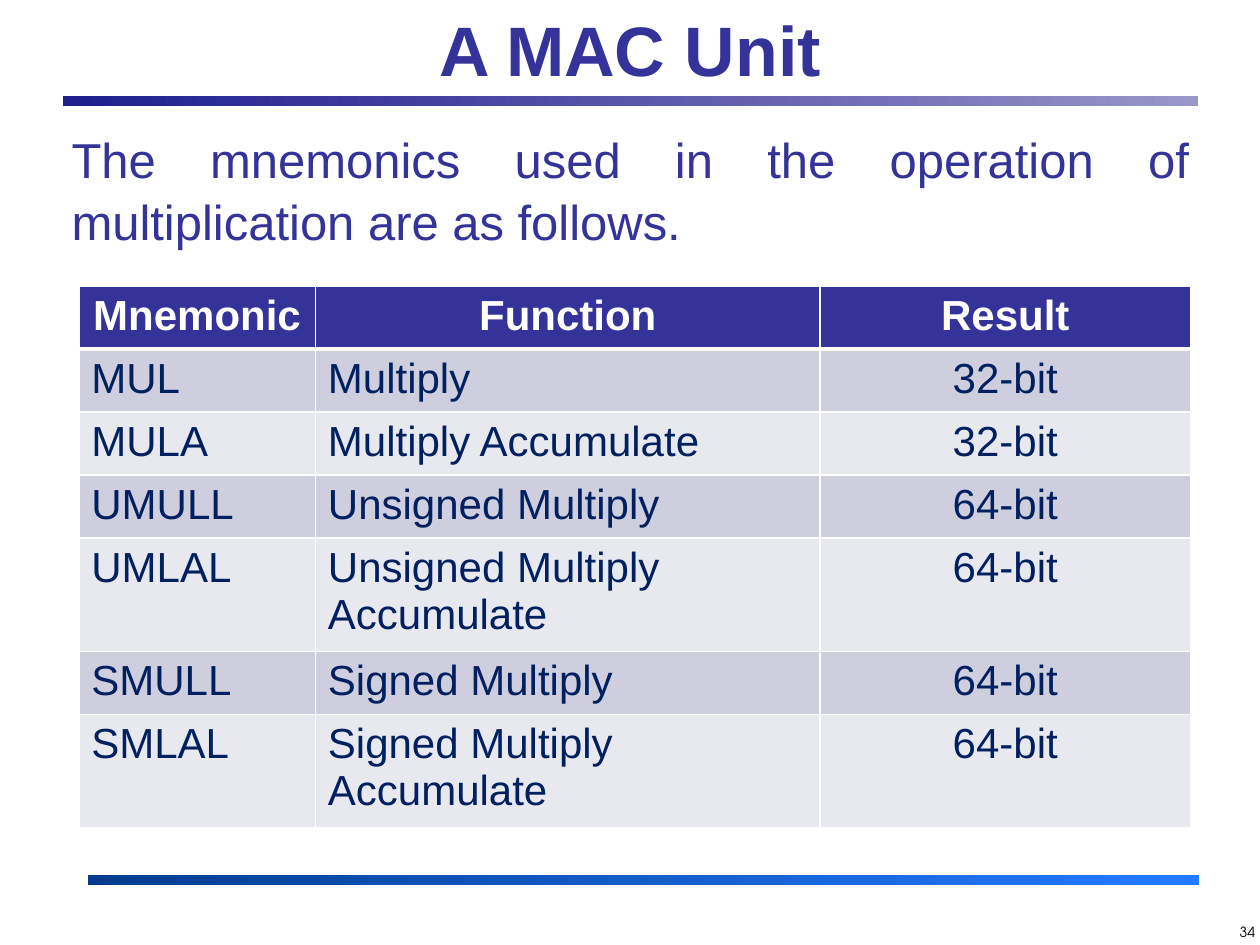
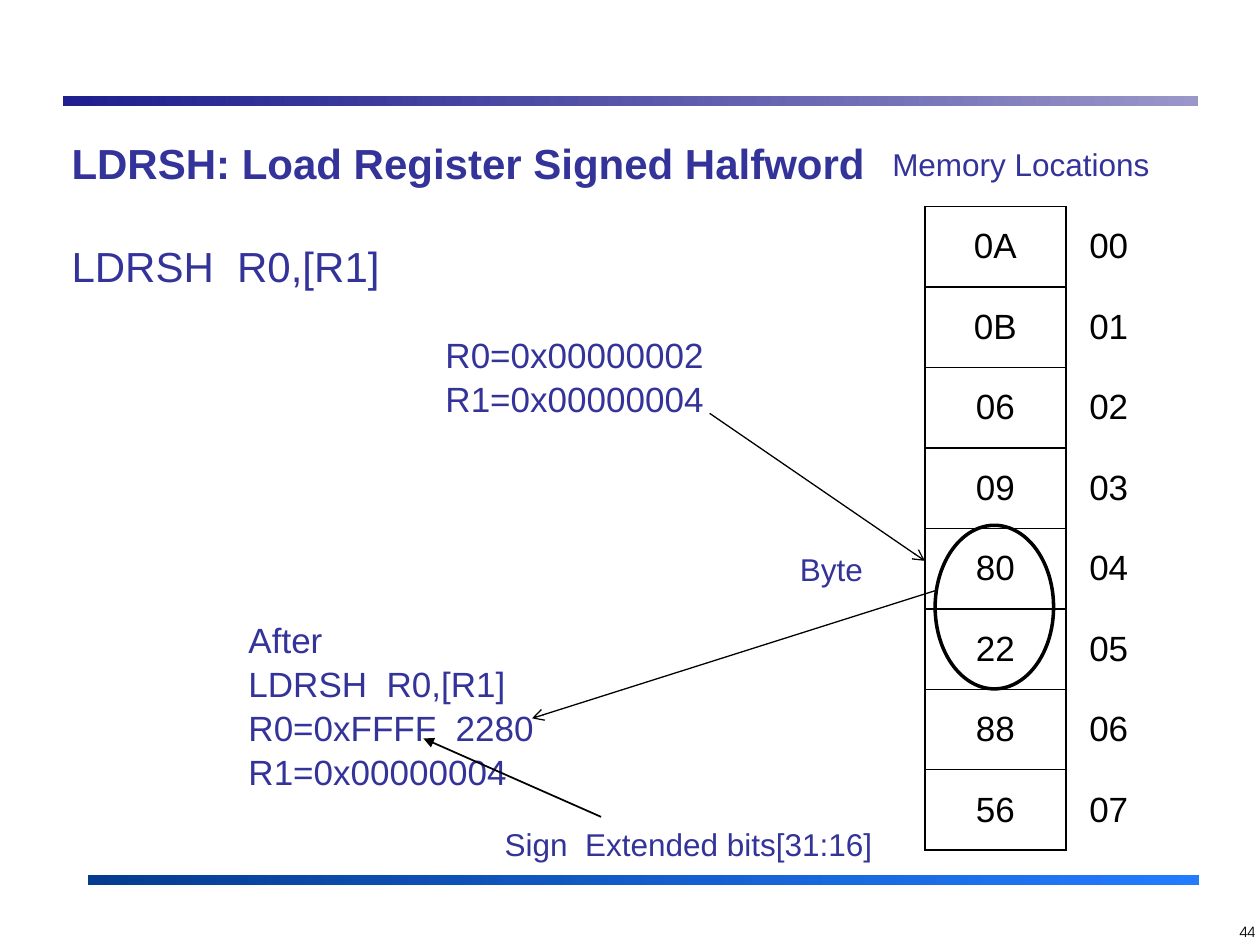
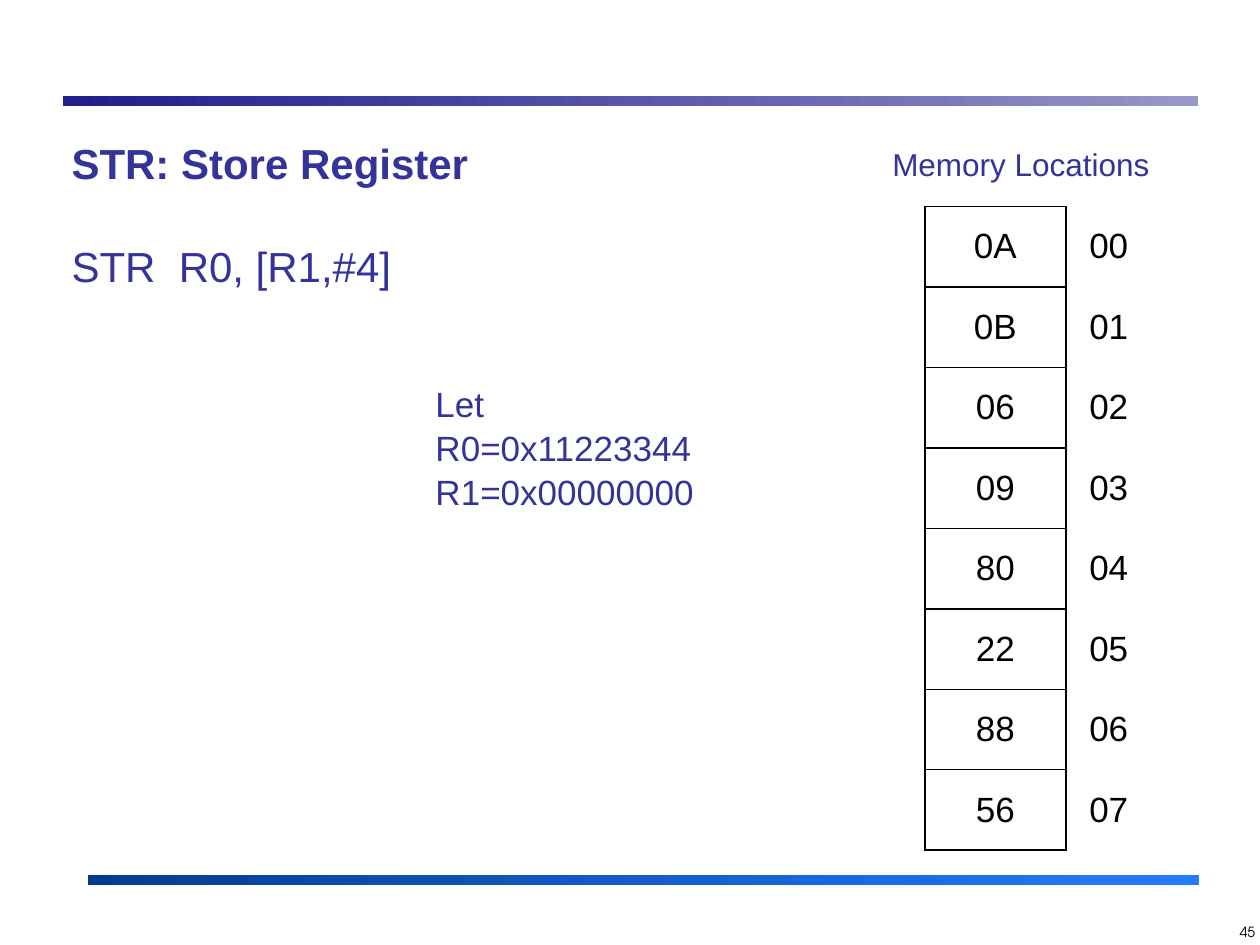
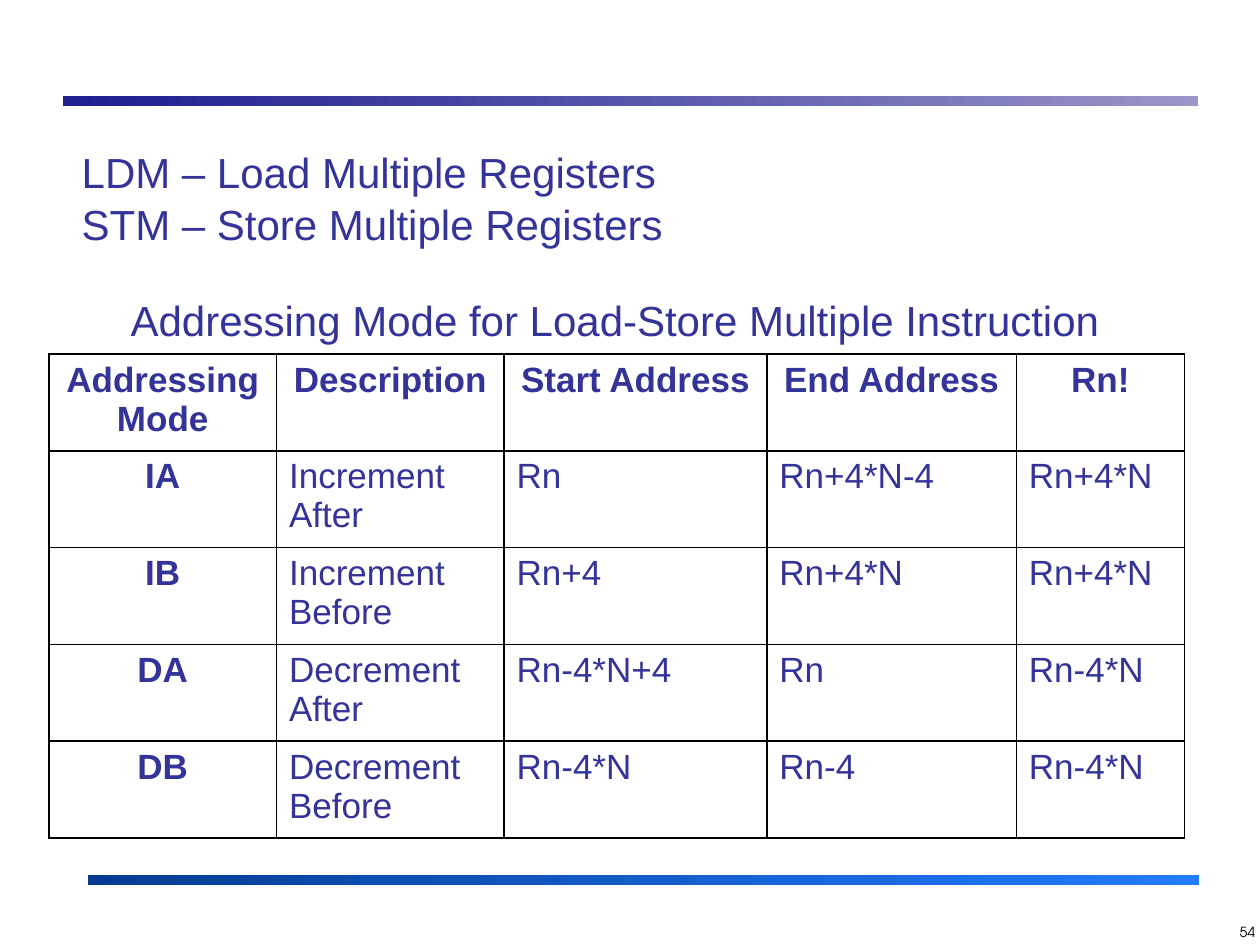
from lxml import etree
from pptx import Presentation
from pptx.dml import color
from pptx.enum import shapes, text
from pptx.oxml import ns
from pptx.util import Pt

RGBColor = color.RGBColor
INDIGO = RGBColor(0x33, 0x33, 0x99)
NAVY = RGBColor(0x00, 0x20, 0x60)
BLACK = RGBColor(0x00, 0x00, 0x00)
WHITE = RGBColor(0xFF, 0xFF, 0xFF)
LILAC = RGBColor(0xCE, 0xCE, 0xDE)
PALE = RGBColor(0xE8, 0xE8, 0xEF)
TOP_BAND = (RGBColor(0x00, 0x00, 0x80), 88), (RGBColor(0x9A, 0x97, 0xC9), 100)
BOTTOM_BAND = (RGBColor(0x05, 0x3C, 0x90), 100), (RGBColor(0x05, 0x6A, 0xFF), 88)

LEFT, CENTER, RIGHT, JUSTIFY = (
    text.PP_ALIGN.LEFT, text.PP_ALIGN.CENTER, text.PP_ALIGN.RIGHT, text.PP_ALIGN.JUSTIFY)
BODY_FONT = "Arial"
NUMBER_FONT = "TeX Gyre Adventor"
LINE_SPACING = 1.05
TITLE_ONLY, BLANK = 5, 6

BANDS = [
    ((36.5, 55, 648, 5.5), TOP_BAND),
    ((50.4, 500.2, 634.5, 5.5), BOTTOM_BAND),
]

MNEMONICS = [
    ("Mnemonic", "Function", "Result"),
    ("MUL", "Multiply", "32-bit"),
    ("MULA", "Multiply Accumulate", "32-bit"),
    ("UMULL", "Unsigned Multiply", "64-bit"),
    ("UMLAL", "Unsigned Multiply Accumulate", "64-bit"),
    ("SMULL", "Signed Multiply", "64-bit"),
    ("SMLAL", "Signed Multiply Accumulate", "64-bit"),
]
MEMORY_BYTES = ["0A", "0B", "06", "09", "80", "22", "88", "56"]
MEMORY = [(value, f"{address:02}") for address, value in enumerate(MEMORY_BYTES)]
ADDRESSING_MODES = [
    ("Addressing\nMode", "Description", "Start Address", "End Address", "Rn!"),
    ("IA", "Increment After", "Rn", "Rn+4*N-4", "Rn+4*N"),
    ("IB", "Increment Before", "Rn+4", "Rn+4*N", "Rn+4*N"),
    ("DA", "Decrement After", "Rn-4*N+4", "Rn", "Rn-4*N"),
    ("DB", "Decrement Before", "Rn-4*N", "Rn-4", "Rn-4*N"),
]

LOAD_NOTES = [
    (["R0=0x00000002", "R1=0x00000004"], (247.5, 186, 164, 55.5), 20),
    (["After", "LDRSH  R0,[R1]", "R0=0xFFFF  2280", "R1=0x00000004"],
     (134.9, 348.5, 214, 104), 20),
    (["Byte"], (450, 309.8, 56, 29), 18),
    (["Sign  Extended bits[31:16]"], (281.3, 466.8, 253.5, 29), 18),
]
LOAD_ARROWS = [
    ((405.5, 236.2), (528.5, 320.5), 0.75, "tailEnd", "arrow"),
    ((534.5, 337.5), (304, 410.5), 0.75, "tailEnd", "arrow"),
    ((242, 422), (343.5, 466.8), 1, "headEnd", "triangle"),
]


def points(values):
    return [Pt(value) for value in values]


def format_paragraph(paragraph, size, ink=INDIGO, bold=False, align=LEFT, name=BODY_FONT):
    paragraph.alignment = align
    font = paragraph.font
    font.size, font.bold, font.name = Pt(size), bold, name
    font.color.rgb = ink


def add_text(slide, lines, box, size, line_spacing=LINE_SPACING, **style):
    frame = slide.shapes.add_textbox(*points(box)).text_frame
    frame.word_wrap = True
    frame.auto_size = text.MSO_AUTO_SIZE.SHAPE_TO_FIT_TEXT
    frame.text = "\n".join(lines)
    for paragraph in frame.paragraphs:
        format_paragraph(paragraph, size, **style)
        paragraph.line_spacing = line_spacing
    return frame


def add_band(slide, box, stops):
    band = slide.shapes.add_shape(shapes.MSO_SHAPE.RECTANGLE, *points(box))
    band.shadow.inherit = False
    band.line.fill.background()
    band.fill.gradient()
    band.fill.gradient_angle = 0
    for stop, (ink, opacity) in zip(band.fill.gradient_stops, stops):
        stop.color.rgb = ink
    for element, (ink, opacity) in zip(band.element.iter(ns.qn("a:srgbClr")), stops):
        if opacity < 100:
            etree.SubElement(element, ns.qn("a:alpha"), val=str(opacity * 1000))
    return band


def move_to_master(presentation, band, shape_id):
    band.element.nvSpPr.cNvPr.set("id", str(shape_id))
    presentation.slide_master.element.cSld.spTree.insert(2, band.element)


def set_border(cell, side, ink, width):
    line = etree.SubElement(
        cell._tc.get_or_add_tcPr(), ns.qn(f"a:ln{side}"), w=str(Pt(width)))
    if ink is None:
        etree.SubElement(line, ns.qn("a:noFill"))
    else:
        fill = etree.SubElement(line, ns.qn("a:solidFill"))
        etree.SubElement(fill, ns.qn("a:srgbClr"), val=str(ink))


def add_table(slide, rows, corner, widths, heights, size, style_cell):
    box = (*corner, sum(widths), sum(heights))
    table = slide.shapes.add_table(len(rows), len(widths), *points(box)).table
    table.first_row = table.horz_banding = False
    for column, width in zip(table.columns, widths):
        column.width = Pt(width)
    for row, height in zip(table.rows, heights):
        row.height = Pt(height)
    for row_index, row in enumerate(rows):
        for column_index, content in enumerate(row):
            cell = table.cell(row_index, column_index)
            cell.text = content
            style, fill, borders = style_cell(row_index, column_index)
            for paragraph in cell.text_frame.paragraphs:
                format_paragraph(paragraph, size, **style)
            for side in "LRTB":
                set_border(cell, side, *borders[side])
            if fill is None:
                cell.fill.background()
            else:
                cell.fill.solid()
                cell.fill.fore_color.rgb = fill
    return table


def style_mnemonic(row, column):
    borders = dict.fromkeys("LRTB", (WHITE, 1))
    if row == 0:
        borders["B"] = (WHITE, 3)
        return dict(ink=WHITE, bold=True, align=CENTER), INDIGO, borders
    if row == 1:
        borders["T"] = (WHITE, 3)
    align = CENTER if column == 2 else LEFT
    return dict(ink=NAVY, align=align), LILAC if row % 2 else PALE, borders


def style_memory(row, column):
    borders = dict.fromkeys("LRTB", (BLACK if column == 0 else None, 1))
    borders["L"] = (BLACK, 1)
    return dict(ink=BLACK, align=CENTER), None, borders


def style_mode(row, column):
    label = row == 0 or column == 0
    style = dict(bold=label, align=CENTER if label else LEFT)
    return style, None, dict.fromkeys("LRTB", (BLACK, 1))


def add_memory(slide):
    table = add_table(slide, MEMORY, (528.5, 118), (80.6, 49),
                      [46] * len(MEMORY), 20, style_memory)
    for cell in table.iter_cells():
        cell.vertical_anchor = text.MSO_ANCHOR.MIDDLE
    add_text(slide, ["Memory Locations"], (422, 78.5, 242, 29), 18, align=RIGHT)


def add_instruction(slide, heading, code):
    frame = add_text(slide, [heading, code], (33.8, 73.5, 478, 94.5), 24)
    frame.paragraphs[0].font.bold = True
    frame.paragraphs[1].space_before = Pt(29)


def add_arrow(slide, start, end, width, end_tag, head):
    arrow = slide.shapes.add_connector(
        shapes.MSO_CONNECTOR.STRAIGHT, *points(start + end))
    arrow.line.color.rgb = BLACK
    arrow.line.width = Pt(width)
    properties = arrow.element.spPr
    etree.SubElement(properties.find(ns.qn("a:ln")), ns.qn(f"a:{end_tag}"), type=head)
    etree.SubElement(properties, ns.qn("a:effectLst"))


def add_slide(presentation, layout, number):
    slide = presentation.slides.add_slide(presentation.slide_layouts[layout])
    add_text(slide, [str(number)], (692.6, 524.2, 31.7, 22), 8, 1.0,
             ink=BLACK, align=RIGHT, name=NUMBER_FONT)
    return slide


def build_mac_unit(presentation):
    slide = add_slide(presentation, TITLE_ONLY, 34)
    for shape_id, (box, stops) in enumerate(BANDS, 101):
        move_to_master(presentation, add_band(slide, box, stops), shape_id)
    title = slide.shapes.title
    title.left, title.top, title.width, title.height = points((36, 0, 648, 56))
    title.text_frame.text = "A MAC Unit"
    title.text_frame.vertical_anchor = text.MSO_ANCHOR.MIDDLE
    format_paragraph(title.text_frame.paragraphs[0], 40, bold=True, align=CENTER)
    add_text(slide, ["The mnemonics used in the operation of multiplication are as follows."],
             (33.8, 69, 652.5, 75), 28, align=JUSTIFY)
    heights = [64.5 if len(function) > 20 else 36 for _, function, _ in MNEMONICS]
    add_table(slide, MNEMONICS, (45, 163.4), (135.2, 288.5, 211.5),
              heights, 24, style_mnemonic)


def build_load_halfword(presentation):
    slide = add_slide(presentation, BLANK, 44)
    add_instruction(slide, "LDRSH: Load Register Signed Halfword", "LDRSH  R0,[R1]")
    add_memory(slide)
    ring = slide.shapes.add_shape(shapes.MSO_SHAPE.OVAL, *points((534.4, 300.2, 67.7, 93.5)))
    ring.shadow.inherit = False
    ring.fill.background()
    ring.line.color.rgb = BLACK
    ring.line.width = Pt(2)
    for lines, box, size in LOAD_NOTES:
        add_text(slide, lines, box, size)
    for arrow in LOAD_ARROWS:
        add_arrow(slide, *arrow)


def build_store(presentation):
    slide = add_slide(presentation, BLANK, 45)
    add_instruction(slide, "STR: Store Register", "STR  R0, [R1,#4]")
    add_memory(slide)
    add_text(slide, ["Let", "R0=0x11223344", "R1=0x00000000"], (241.8, 214, 164, 80), 20)


def build_multiple(presentation):
    slide = add_slide(presentation, BLANK, 54)
    add_text(slide, ["LDM – Load Multiple Registers", "STM – Store Multiple Registers"],
             (39.6, 78.5, 646.5, 65.5), 24)
    add_table(slide, ADDRESSING_MODES, (28, 202.4), (130, 130, 150.2, 142.6, 96),
              [55.3] * len(ADDRESSING_MODES), 20, style_mode)
    add_text(slide, ["Addressing Mode for Load-Store Multiple Instruction"],
             (50.4, 163.4, 602, 36), 24, align=CENTER)


def main():
    presentation = Presentation()
    presentation.slide_width, presentation.slide_height = Pt(720), Pt(540)
    for build in (build_mac_unit, build_load_halfword, build_store, build_multiple):
        build(presentation)
    presentation.save("out.pptx")


if __name__ == "__main__":
    main()
